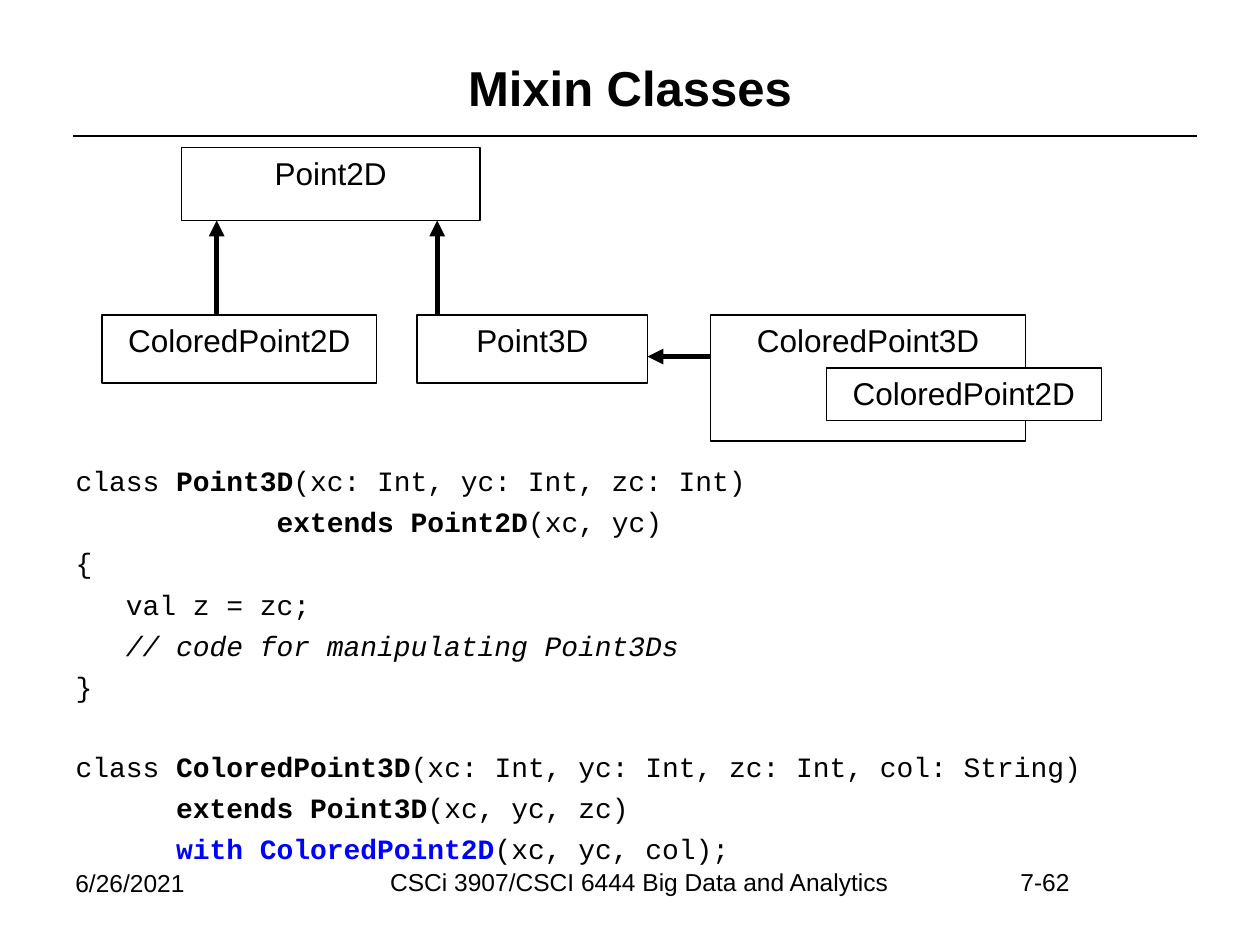
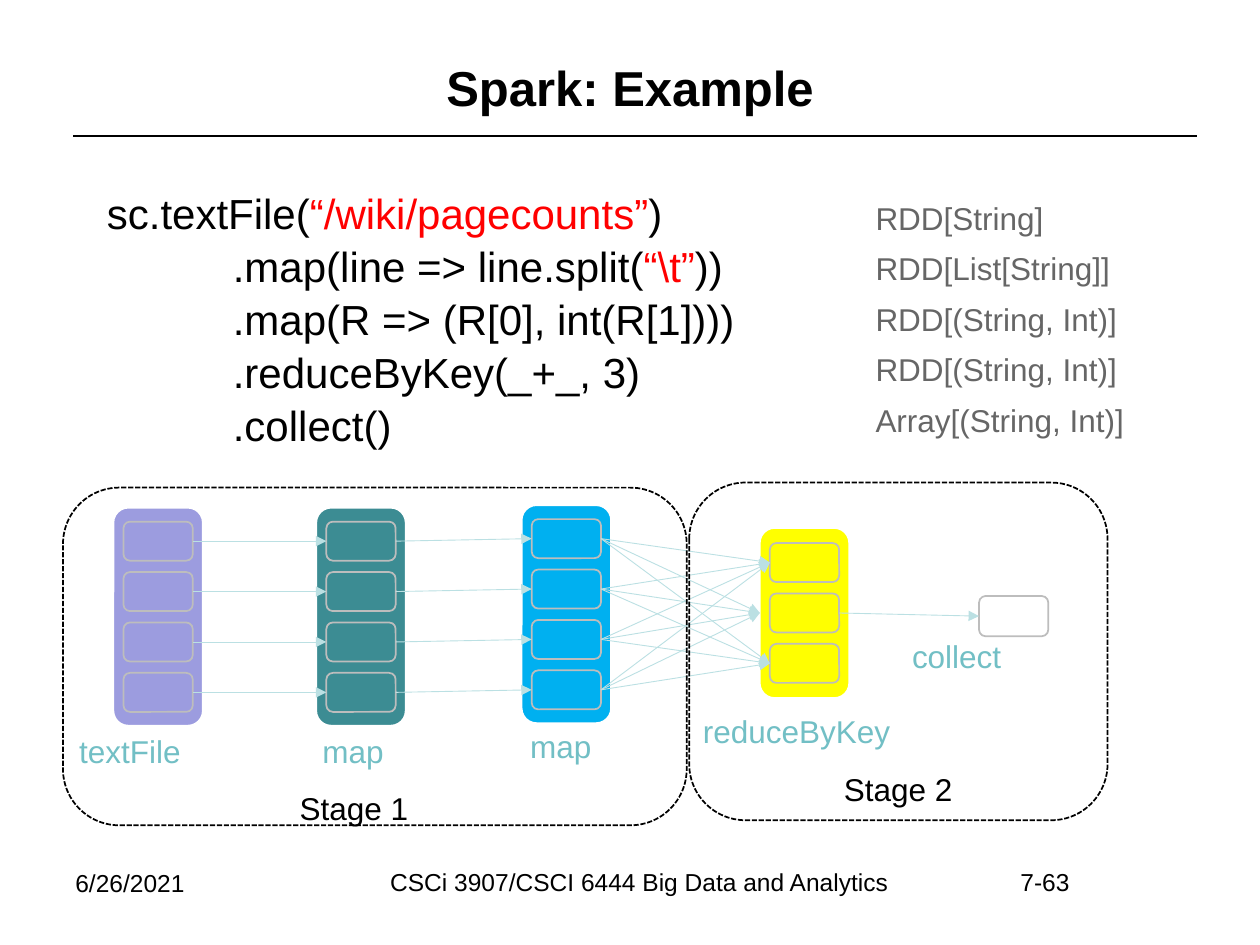
from lxml import etree
from pptx import Presentation
from pptx.dml.color import RGBColor
from pptx.enum.dml import MSO_LINE
from pptx.enum.shapes import MSO_CONNECTOR, MSO_SHAPE
from pptx.enum.text import MSO_ANCHOR, MSO_AUTO_SIZE, PP_ALIGN
from pptx.oxml.ns import qn
from pptx.util import Inches, Pt

RECT, ROUND = MSO_SHAPE.RECTANGLE, MSO_SHAPE.ROUNDED_RECTANGLE
STRAIGHT = MSO_CONNECTOR.STRAIGHT
LEFT, CENTER = PP_ALIGN.LEFT, PP_ALIGN.CENTER
TOP, MIDDLE = MSO_ANCHOR.TOP, MSO_ANCHOR.MIDDLE
LEFT_SIDE, RIGHT_SIDE = 1, 3

BLACK, WHITE, RED, BLUE = "000000", "FFFFFF", "FF0000", "0000FF"
GREY, CELL_LINE, ARROW, LABEL = "666666", "BDBDBD", "BBE0E3", "72BFC5"
SANS, MONO = "Arial", "Courier New"

# Shared by both slides
FIRST_NUMBER = 62
TITLE_AT = (0.5, 0.3, 9, 0.78)
RULE = (0.58, 1.08), (9.5, 1.08)
FOOTERS = [
    ("6/26/2021", (0.5, 6.84, 1.66, 0.52), LEFT),
    ("CSCi 3907/CSCI 6444 Big Data and Analytics", (2.16, 6.83, 5.83, 0.52), CENTER),
    ("7-{}", (8, 6.83, 0.75, 0.52), LEFT),
]

# Mixin Classes
CLASS_BOXES = [
    ("ColoredPoint2D", (0.81, 2.5, 2.18, 0.54), None),
    ("Point2D", (1.44, 1.17, 2.37, 0.58), None),
    ("Point3D", (3.31, 2.5, 1.83, 0.54), None),
    ("ColoredPoint3D", (5.64, 2.5, 2.5, 1), None),
    ("ColoredPoint2D", (6.56, 2.92, 2.18, 0.42), WHITE),
]
INHERITS = [
    ((1.72, 2.5), (1.72, 1.75)),
    ((3.47, 2.5), (3.47, 1.75)),
    ((5.64, 2.83), (5.14, 2.83)),
]
BOLD, ITALIC = {"bold": True}, {"italic": True}
CLASS_CODE_AT = (0.5, 3.58, 9, 3.25)
CLASS_CODE = [  # one list of definitions, each a list of lines
    [
        [("class ", {}), ("Point3D", BOLD), ("(xc: Int, yc: Int, zc: Int)", {})],
        [("            ", {}), ("extends Point2D", BOLD), ("(xc, yc)", {})],
        [("{", {})],
        [("   val z = zc;", {})],
        [("   // code for manipulating Point3Ds", ITALIC)],
        [("}", {})],
    ],
    [
        [("class ", {}), ("ColoredPoint3D", BOLD),
         ("(xc: Int, yc: Int, zc: Int, col: String)", {})],
        [("      ", {}), ("extends Point3D", BOLD), ("(xc, yc, zc)", {})],
        [("      ", {}), ("with ColoredPoint2D", {"bold": True, "color": BLUE}),
         ("(xc, yc, col);", {})],
    ],
]
LINE_GAP, DEFINITION_GAP = 4.3, 26.7

# Spark: Example
QUOTED = {"color": RED}
CHAIN_AT = (0.75, 1.42, 6.1, 2.12)
CHAIN = [
    [("sc.textFile(", {}), ("“/wiki/pagecounts”", QUOTED), (")", {})],
    [(".map(line => line.split(", {}), ("“\\t”", QUOTED), ("))", {})],
    [(".map(R => (R[0], int(R[1])))", {})],
    [(".reduceByKey(_+_, 3)", {})],
    [(".collect()", {})],
]
RESULT_TYPES = ["RDD[String]", "RDD[List[String]]", "RDD[(String, Int)]",
                "RDD[(String, Int)]", "Array[(String, Int)]"]
RDDS = [  # label, label place, fill, left, top, height, partitions
    ("textFile", (0.53, 5.76), "9C9CDF", 0.9, 4.03, 1.73, 4),
    ("map", (2.46, 5.76), "3C8C93", 2.51, 4.03, 1.73, 4),
    ("map", (4.11, 5.72), "00B0F0", 4.14, 4.01, 1.73, 4),
    ("reduceByKey", (5.48, 5.6), "FFFF00", 6.03, 4.19, 1.35, 3),
]
RDD_W, CELL_W, CELL_H, CELL_PITCH = 0.71, 0.55, 0.31, 0.4
RESULT_AT, RESULT_LABEL = (7.77, 4.73, 0.55, 0.32), ("collect", (7.14, 5.01))
STAGES = [
    ("Stage 1", (2.28, 6.21), (0.5, 3.87, 4.95, 2.68)),
    ("Stage 2", (6.6, 6.06), (5.47, 3.83, 3.32, 2.68)),
]


def rgb(color):
    return RGBColor.from_string(color)


def place(shape, at):
    for name, value in zip(("left", "top", "width", "height"), at):
        setattr(shape, name, Inches(value))


def write(p, runs, size=18, name=SANS, color=BLACK, align=LEFT, bold=False):
    """Add (text, overrides) runs to a paragraph in one base format."""
    p.alignment = align
    for text, overrides in runs:
        r = p.add_run()
        r.text = text
        fmt = {"size": Pt(size), "name": name, "bold": bold, "color": color, **overrides}
        r.font.color.rgb = rgb(fmt.pop("color"))
        for key, value in fmt.items():
            setattr(r.font, key, value)


def fill_frame(tf, lines, anchor=TOP, **fmt):
    tf.word_wrap = True
    tf.auto_size = MSO_AUTO_SIZE.NONE
    tf.vertical_anchor = anchor
    for i, runs in enumerate(lines):
        write(tf.add_paragraph() if i else tf.paragraphs[0], runs, **fmt)


def add_text(s, text, at, **fmt):
    tb = s.shapes.add_textbox(*map(Inches, at))
    fill_frame(tb.text_frame, [[(text, {})]], **fmt)


def add_box(shapes, kind, at, fill, line, width=1):
    sp = shapes.add_shape(kind, *map(Inches, at))
    sp.shadow.inherit = False
    if fill:
        sp.fill.solid()
        sp.fill.fore_color.rgb = rgb(fill)
    else:
        sp.fill.background()
    sp.line.color.rgb = rgb(line)
    sp.line.width = Pt(width)
    return sp


def add_line(s, start=(0, 0), end=(0, 0), color=BLACK, width=0.75, arrow=True):
    c = s.shapes.add_connector(STRAIGHT, *map(Inches, (*start, *end)))
    c.line.color.rgb = rgb(color)
    c.line.width = Pt(width)
    if arrow:
        etree.SubElement(c.line._get_or_add_ln(), qn("a:tailEnd"), type="triangle")
    etree.SubElement(c._element.spPr, qn("a:effectLst"))
    return c


def flow(s, source, target):
    c = add_line(s, color=ARROW, width=0.5)
    c.begin_connect(source, RIGHT_SIDE)
    c.end_connect(target, LEFT_SIDE)


def add_slide(prs, layout, title):
    s = prs.slides.add_slide(prs.slide_layouts.get_by_name(layout))
    add_line(s, *RULE, arrow=False)
    place(s.shapes.title, TITLE_AT)
    fill_frame(s.shapes.title.text_frame, [[(title, {})]], anchor=MIDDLE,
               size=28, bold=True, align=CENTER)
    number = FIRST_NUMBER + len(prs.slides) - 1
    for text, at, align in FOOTERS:
        add_text(s, text.format(number), at, size=14, align=align)
    return s


def add_rdd(s, fill, left, top, height, count):
    """Draw one RDD as a group; return its column and its partition cells."""
    shapes = s.shapes.add_group_shape().shapes
    column = add_box(shapes, ROUND, (left, top, RDD_W, height), fill, WHITE)
    x = left + (RDD_W - CELL_W) / 2
    y = top + (height - CELL_H - (count - 1) * CELL_PITCH) / 2
    cells = [add_box(shapes, ROUND, (x, y + i * CELL_PITCH, CELL_W, CELL_H), fill, CELL_LINE)
             for i in range(count)]
    return column, cells


def build_mixin(prs):
    s = add_slide(prs, "Title and Content", "Mixin Classes")
    body = s.placeholders[1]
    place(body, CLASS_CODE_AT)
    tf = body.text_frame
    tf.margin_top = Inches(0.1)
    fill_frame(tf, [line for block in CLASS_CODE for line in block], size=16, name=MONO)
    second = len(CLASS_CODE[0])
    for i, p in enumerate(tf.paragraphs):
        gap = DEFINITION_GAP if i == second else LINE_GAP if i else 0
        p.space_before = Pt(gap)
        pPr = p._p.get_or_add_pPr()
        pPr.set("marL", "0")
        pPr.set("indent", "0")
        etree.SubElement(pPr, qn("a:buNone"))
    for text, at, fill in CLASS_BOXES:
        sp = add_box(s.shapes, RECT, at, fill, BLACK, 0.75)
        fill_frame(sp.text_frame, [[(text, {})]], align=CENTER)
    for start, end in INHERITS:
        add_line(s, start, end, width=3)


def build_spark(prs):
    s = add_slide(prs, "Title Only", "Spark: Example")
    tb = s.shapes.add_textbox(*map(Inches, CHAIN_AT))
    fill_frame(tb.text_frame, CHAIN, size=24)
    for i, p in enumerate(tb.text_frame.paragraphs):
        p.line_spacing = 1.05
        if i:
            p._p.get_or_add_pPr().set("marL", str(Inches(1)))
    for i, text in enumerate(RESULT_TYPES):
        add_text(s, text, (6.85, 1.53 + 0.4 * i, 2.31, 0.4), color=GREY)

    rdds = []
    for label, label_at, *column in RDDS:
        rdds.append(add_rdd(s, *column))
        add_text(s, label, (*label_at, 1.71, 0.4), color=LABEL)
    text_file, first_map, second_map, reduced = [cells for _, cells in rdds]
    for sources, targets in ((text_file, first_map), (first_map, second_map)):
        for source, target in zip(sources, targets):
            flow(s, source, target)
    reduce_column = rdds[-1][0]
    for source in second_map:
        for target in (reduced[0], reduce_column, reduced[2]):
            flow(s, source, target)

    result = add_box(s.shapes, ROUND, RESULT_AT, WHITE, CELL_LINE)
    flow(s, reduced[1], result)
    text, at = RESULT_LABEL
    add_text(s, text, (*at, 1.53, 0.4), color=LABEL)
    for text, text_at, at in STAGES:
        add_box(s.shapes, ROUND, at, None, BLACK).line.dash_style = MSO_LINE.SQUARE_DOT
        add_text(s, text, (*text_at, 1.07, 0.4))


def main():
    prs = Presentation()
    prs.slide_width, prs.slide_height = Inches(10), Inches(7.5)
    build_mixin(prs)
    build_spark(prs)
    prs.save("out.pptx")


if __name__ == "__main__":
    main()
